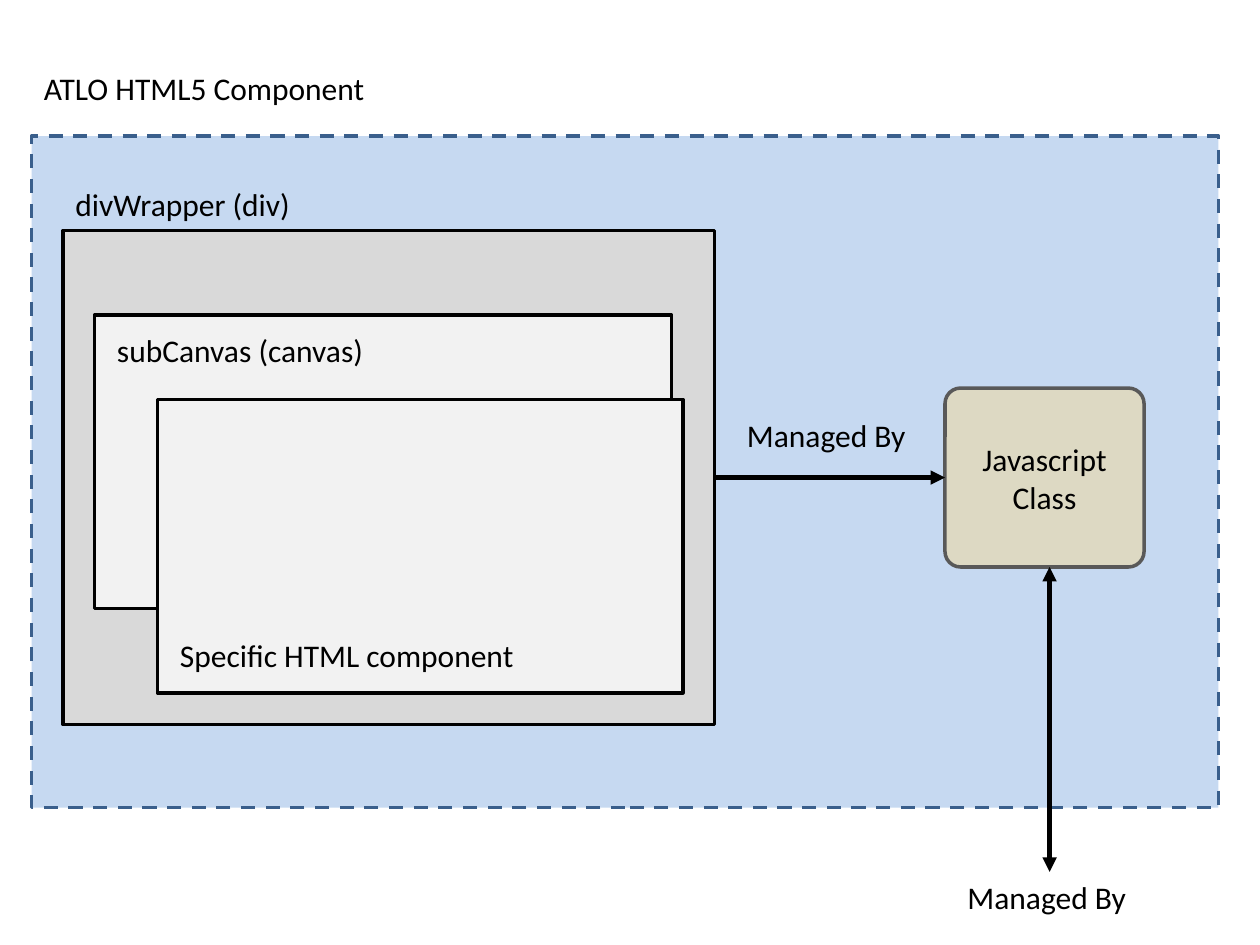
from lxml import etree
from pptx import Presentation
from pptx.dml.color import RGBColor
from pptx.enum.dml import MSO_LINE_DASH_STYLE as Dash
from pptx.enum.shapes import MSO_CONNECTOR as Connector, MSO_SHAPE as Shape
from pptx.enum.text import MSO_ANCHOR as Anchor, MSO_AUTO_SIZE as AutoSize, PP_ALIGN as Align
from pptx.oxml.ns import qn
from pptx.util import Inches, Pt

COLORS = {
    "black": "000000", "navy": "3A5F8C", "blue": "C6D9F1", "gray": "D9D9D9",
    "light": "F2F2F2", "tan": "DDD9C3", "dark": "595959",
}

# Boxes, back to front: left, top, width, height, fill, line, dash
BOXES = [
    (0.25, 1.08, 9.42, 5.33, "blue", "navy", Dash.DASH),  # component
    (0.5, 1.83, 5.17, 3.92, "gray", "black", None),       # divWrapper
    (0.75, 2.5, 4.58, 2.33, "light", "black", None),      # subCanvas
    (1.25, 3.17, 4.17, 2.33, "light", "black", None),     # specific component
]
MANAGER = (7.5, 3.08, 1.58, 1.42, "tan", "dark", None)
MANAGER_LINES = ["Javascript", "Class"]

# Labels: text, left, top, width
LABELS = [
    ("ATLO HTML5 Component", 0.25, 0.5, 2.75),
    ("divWrapper (div)", 0.5, 1.42, 1.92),
    ("subCanvas (canvas)", 0.83, 2.58, 2.18),
    ("Specific HTML component", 1.33, 5, 2.88),
    ("Managed By", 5.83, 3.25, 1.48),
    ("Managed By", 7.58, 6.92, 1.48),
]
LABEL_HEIGHT = 0.4

# Arrows: start, end, ends that carry an arrowhead
ARROWS = [
    ((5.67, 3.79), (7.5, 3.79), ["tailEnd"]),
    ((8.33, 6.92), (8.33, 4.5), ["headEnd", "tailEnd"]),
]


def color(name):
    return RGBColor.from_string(COLORS[name])


def write(frame, lines, size=18, font="Calibri", ink="black", align=Align.LEFT):
    for i, line in enumerate(lines):
        paragraph = frame.add_paragraph() if i else frame.paragraphs[0]
        paragraph.alignment = align
        run = paragraph.add_run()
        run.text = line
        run.font.size = Pt(size)
        run.font.name = font
        run.font.color.rgb = color(ink)


def add_box(slide, left, top, width, height, fill, outline, dash, preset=Shape.RECTANGLE):
    box = slide.shapes.add_shape(preset, *map(Inches, (left, top, width, height)))
    box.shadow.inherit = False
    box.fill.solid()
    box.fill.fore_color.rgb = color(fill)
    box.line.color.rgb = color(outline)
    box.line.width = Pt(2)
    if dash:
        box.line.dash_style = dash
    return box


def add_label(slide, text, left, top, width):
    label = slide.shapes.add_textbox(*map(Inches, (left, top, width, LABEL_HEIGHT)))
    label.text_frame.word_wrap = False
    label.text_frame.auto_size = AutoSize.SHAPE_TO_FIT_TEXT
    write(label.text_frame, [text])


def add_arrow(slide, start, end, heads):
    arrow = slide.shapes.add_connector(Connector.STRAIGHT, *map(Inches, start + end))
    arrow.line.color.rgb = color("black")
    arrow.line.width = Pt(2.75)
    for head in heads:
        etree.SubElement(arrow.line._get_or_add_ln(), qn(f"a:{head}"), type="triangle")
    etree.SubElement(arrow._element.spPr, qn("a:effectLst"))


def main():
    deck = Presentation()
    deck.slide_width, deck.slide_height = Inches(10), Inches(7.5)
    slide = deck.slides.add_slide(deck.slide_layouts[6])

    # Nested containers
    for box in BOXES:
        add_box(slide, *box)

    # Managing class
    manager = add_box(slide, *MANAGER, preset=Shape.ROUNDED_RECTANGLE)
    manager.adjustments[0] = 0.087
    manager.text_frame.vertical_anchor = Anchor.MIDDLE
    write(manager.text_frame, MANAGER_LINES, align=Align.CENTER)

    # Relations and labels
    for arrow in ARROWS:
        add_arrow(slide, *arrow)
    for label in LABELS:
        add_label(slide, *label)

    deck.save("out.pptx")


if __name__ == "__main__":
    main()
